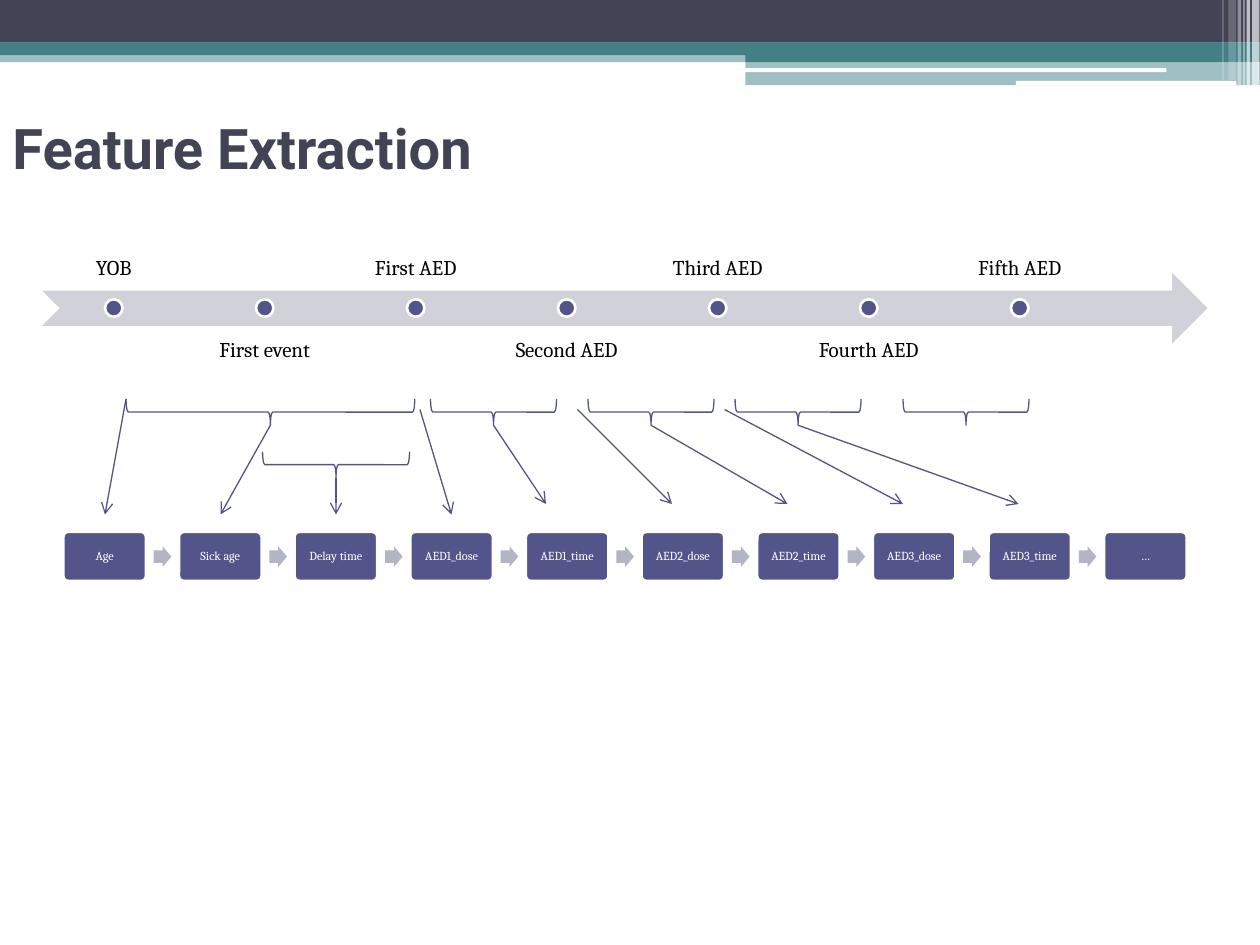
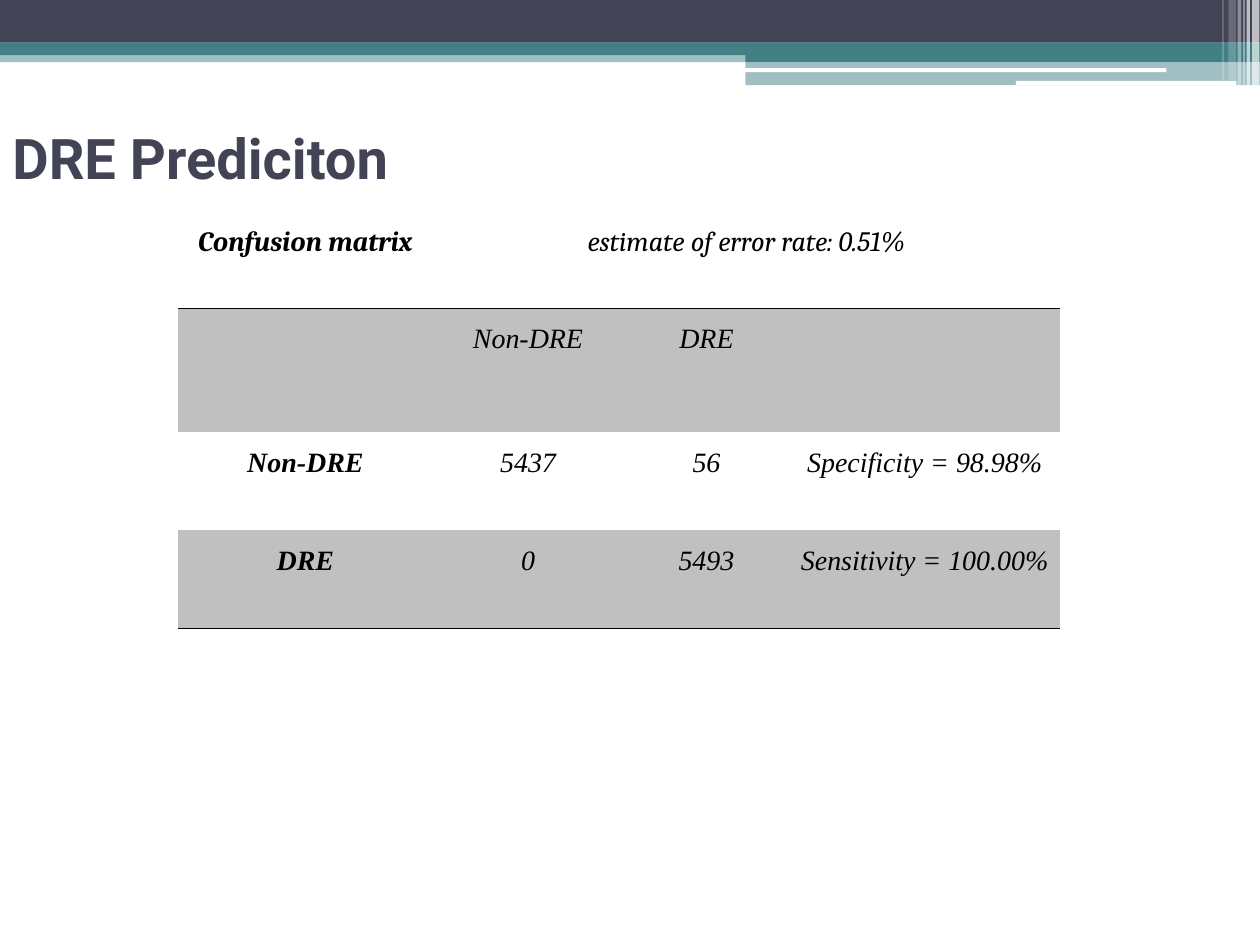
from lxml import etree
from pptx import Presentation
from pptx.dml.color import RGBColor
from pptx.enum.shapes import MSO_CONNECTOR, MSO_SHAPE
from pptx.enum.text import MSO_ANCHOR, PP_ALIGN
from pptx.oxml.ns import qn
from pptx.util import Pt

RECT, ROUND, OVAL = MSO_SHAPE.RECTANGLE, MSO_SHAPE.ROUNDED_RECTANGLE, MSO_SHAPE.OVAL
ARROW, NOTCHED, BRACE = MSO_SHAPE.RIGHT_ARROW, MSO_SHAPE.NOTCHED_RIGHT_ARROW, MSO_SHAPE.RIGHT_BRACE
STRAIGHT = MSO_CONNECTOR.STRAIGHT
TOP, MIDDLE, BOTTOM = MSO_ANCHOR.TOP, MSO_ANCHOR.MIDDLE, MSO_ANCHOR.BOTTOM
LEFT, CENTER = PP_ALIGN.LEFT, PP_ALIGN.CENTER

NAVY = RGBColor(0x42, 0x44, 0x56)
TEAL = RGBColor(0x43, 0x80, 0x86)
INDIGO = RGBColor(0x53, 0x54, 0x8A)
MIST = RGBColor(0xD1, 0xD1, 0xDA)
LILAC = RGBColor(0xB3, 0xB4, 0xC4)
GREY = RGBColor(0xC0, 0xC0, 0xC0)
WHITE = RGBColor(0xFF, 0xFF, 0xFF)
BLACK = RGBColor(0, 0, 0)

HEAD = {"name": "Roboto", "size": Pt(32), "bold": True}
LABEL = {"name": "Cambria", "size": Pt(12)}
SMALL = {"name": "Cambria", "size": Pt(7)}
NOTE = {"name": "Cambria", "size": Pt(16), "italic": True}
DATA = {"name": "Times New Roman", "size": Pt(16), "italic": True}
SIDES = ("margin_left", "margin_top", "margin_right", "margin_bottom")

BANDS = [
    (RECT, 0, 29, 720, 6.5, TEAL, 50),
    (RECT, 0, 0, 720, 24.4, NAVY, 100),
    (RECT, 0, 24.2, 720, 7.3, TEAL, 100),
    (RECT, 426, 28, 294, 7.4, TEAL, 100),
    (RECT, 426, 35.2, 294, 13.5, TEAL, 50),
    (ROUND, 425.5, 39, 241, 2.2, WHITE, 100),
    (ROUND, 580.5, 46.2, 126, 2.6, WHITE, 100),
]
STRIPS = [
    (715.5, 4.2, 49, 65), (712.3, 2, 49, 65), (710.5, 0.7, 49, 60),
    (707.2, 2, 49, 40), (702, 4.3, 46, 20), (698.5, 0.7, 46, 30),
]

EVENTS = ["YOB", "First event", "First AED", "Second AED", "Third AED",
          "Fourth AED", "Fifth AED"]
STEPS = ["Age", "Sick age", "Delay time", "AED1_dose", "AED1_time", "AED2_dose",
         "AED2_time", "AED3_dose", "AED3_time", "…"]
SPANS = [(72, 228, 165), (150, 258, 84), (246, 228, 72), (336, 228, 72),
         (420, 228, 72), (516, 228, 72)]
LINKS = [
    (72, 228, 60, 294), (154.5, 243, 126, 294), (192, 273, 192, 294),
    (240, 234, 258, 294), (282, 243, 312, 288), (330, 234, 384, 288),
    (372, 243, 450, 288), (414, 234, 516, 288), (456, 243, 582, 288),
]
MATRIX = [
    ["Confusion matrix", "estimate of error rate: 0.51%", "", ""],
    ["", "Non-DRE", "DRE", ""],
    ["Non-DRE", "5437", "56", "Specificity = 98.98%"],
    ["DRE", "0", "5493", "Sensitivity = 100.00%"],
]
WIDTHS = [145, 109.5, 94.5, 155]
HEIGHTS = [56.2, 70.6, 56.2, 56.2]


def assign(item, values):
    """Set every attribute named in values."""
    for name, value in values.items():
        setattr(item, name, value)


class Deck:
    """Hold the shared style and the current slide."""

    def __init__(self):
        """Open an empty deck of 10 by 7.5 inches."""
        self.file = Presentation()
        assign(self.file, {"slide_width": Pt(720), "slide_height": Pt(540)})
        self.slide = None

    def page(self, title, top):
        """Start a slide with the bands and its title."""
        self.slide = self.file.slides.add_slide(self.file.slide_layouts[6])
        for kind, x, y, w, h, fill, alpha in BANDS:
            self.shape(kind, (x, y, w, h), fill, alpha=alpha)
        for x, w, h, alpha in STRIPS:
            self.shape(RECT, (x, 0, w, h), WHITE, alpha=alpha)
        self.text((0, top, 648, 84), title, HEAD, NAVY, LEFT, MIDDLE, (7.2, 3.6))

    def shape(self, kind, box, fill=None, line=None, weight=1.5, alpha=100):
        """Add a preset shape."""
        shape = self.slide.shapes.add_shape(kind, *map(Pt, box))
        shape.shadow.inherit = False
        if fill is None:
            shape.fill.background()
        else:
            shape.fill.solid()
            shape.fill.fore_color.rgb = fill
        if alpha < 100:
            tint = shape.element.spPr.find(qn("a:solidFill"))[0]
            etree.SubElement(tint, qn("a:alpha"), val=str(alpha * 1000))
        if line is None:
            shape.line.fill.background()
        else:
            shape.line.color.rgb = line
            shape.line.width = Pt(weight)
        return shape

    def phrase(self, frame, words, font, color, align=CENTER, **space):
        """Put one formatted paragraph in a text frame."""
        para = frame.paragraphs[0]
        assign(para, {"alignment": align, **space})
        run = para.add_run()
        run.text = words
        assign(run.font, font)
        run.font.color.rgb = color

    def text(self, box, words, font, color, align, anchor, inset):
        """Add a text box."""
        frame = self.slide.shapes.add_textbox(*map(Pt, box)).text_frame
        assign(frame, {"word_wrap": True, "vertical_anchor": anchor})
        assign(frame, dict(zip(SIDES, map(Pt, inset * 2))))
        self.phrase(frame, words, font, color, align)

    def event(self, order, words):
        """Add a timeline dot and its label, above or below by turns."""
        x = 24 + 86.28 * order
        top, anchor = (186, TOP) if order % 2 else (126, BOTTOM)
        self.text((x, top, 82, 40.3), words, LABEL, BLACK, CENTER, anchor, (6.5, 6.5))
        self.shape(OVAL, (x + 36, 171, 10, 10), INDIGO, WHITE)

    def step(self, order, words):
        """Add a feature box, after an arrow unless it is the first."""
        x = 36.2 + 66.08 * order
        if order:
            arrow = self.shape(ARROW, (x - 14.4, 312.2, 10.1, 11.8), LILAC)
            arrow.adjustments[0] = 0.6
        box = self.shape(ROUND, (x, 304, 47.2, 28), INDIGO, WHITE)
        box.adjustments[0] = 0.1
        frame = box.text_frame
        assign(frame, {"word_wrap": True, "vertical_anchor": MIDDLE})
        assign(frame, dict.fromkeys(SIDES, Pt(2)))
        self.phrase(frame, words, SMALL, WHITE, line_spacing=0.9)

    def brace(self, left, top, width, depth=15):
        """Add a brace that opens upward."""
        shift = (width - depth) / 2
        box = (left + shift, top - shift, depth, width)
        self.shape(BRACE, box, line=INDIGO, weight=0.75).rotation = 90

    def link(self, ends):
        """Add a line with an open arrowhead."""
        link = self.slide.shapes.add_connector(STRAIGHT, *map(Pt, ends))
        link.line.color.rgb = INDIGO
        link.line.width = Pt(0.75)
        props = link.element.spPr
        etree.SubElement(props.find(qn("a:ln")), qn("a:tailEnd"), type="arrow")
        etree.SubElement(props, qn("a:effectLst"))

    def border(self, node, ruled):
        """Rule the named side of a cell and clear the others."""
        props = node.get_or_add_tcPr()
        for side in "LRTB":
            line = etree.SubElement(props, qn(f"a:ln{side}"), w=str(int(Pt(1))))
            if side == ruled:
                fill = etree.SubElement(line, qn("a:solidFill"))
                etree.SubElement(fill, qn("a:srgbClr"), val=str(BLACK))
            else:
                etree.SubElement(line, qn("a:noFill"))

    def table(self, rows, left, top):
        """Add the matrix with grey rows and ruled edges."""
        size = (left, top, sum(WIDTHS), sum(HEIGHTS))
        holder = self.slide.shapes.add_table(len(rows), len(WIDTHS), *map(Pt, size))
        table = holder.table
        nodes = holder.element.iter(qn("a:tc"))
        assign(table, {"first_row": False, "horz_banding": False})
        for col, width in zip(table.columns, WIDTHS):
            col.width = Pt(width)
        for row, height in zip(table.rows, HEIGHTS):
            row.height = Pt(height)
        for i, row in enumerate(rows):
            for j, words in enumerate(row):
                cell = table.cell(i, j)
                assign(cell, dict(zip(SIDES, map(Pt, (5, 0, 5, 0)))))
                self.border(next(nodes), ("B", "T", "", "B")[i])
                if i % 2:
                    cell.fill.solid()
                    cell.fill.fore_color.rgb = GREY
                else:
                    cell.fill.background()
                if words:
                    font = {**(DATA if i else NOTE), "bold": j == 0}
                    self.phrase(cell.text_frame, words, font, BLACK,
                                line_spacing=1.5, space_after=Pt(6))
        table.cell(0, 1).merge(table.cell(0, 3))


def main():
    """Build both slides and save them."""
    deck = Deck()
    deck.page("Feature Extraction", 42)
    deck.shape(NOTCHED, (24, 156, 666, 40.3), MIST)
    for order, words in enumerate(EVENTS):
        deck.event(order, words)
    for order, words in enumerate(STEPS):
        deck.step(order, words)
    for span in SPANS:
        deck.brace(*span)
    for ends in LINKS:
        deck.link(ends)

    deck.page("DRE Prediciton", 48)
    deck.table(MATRIX, 102, 120)
    deck.file.save("out.pptx")


if __name__ == "__main__":
    main()
